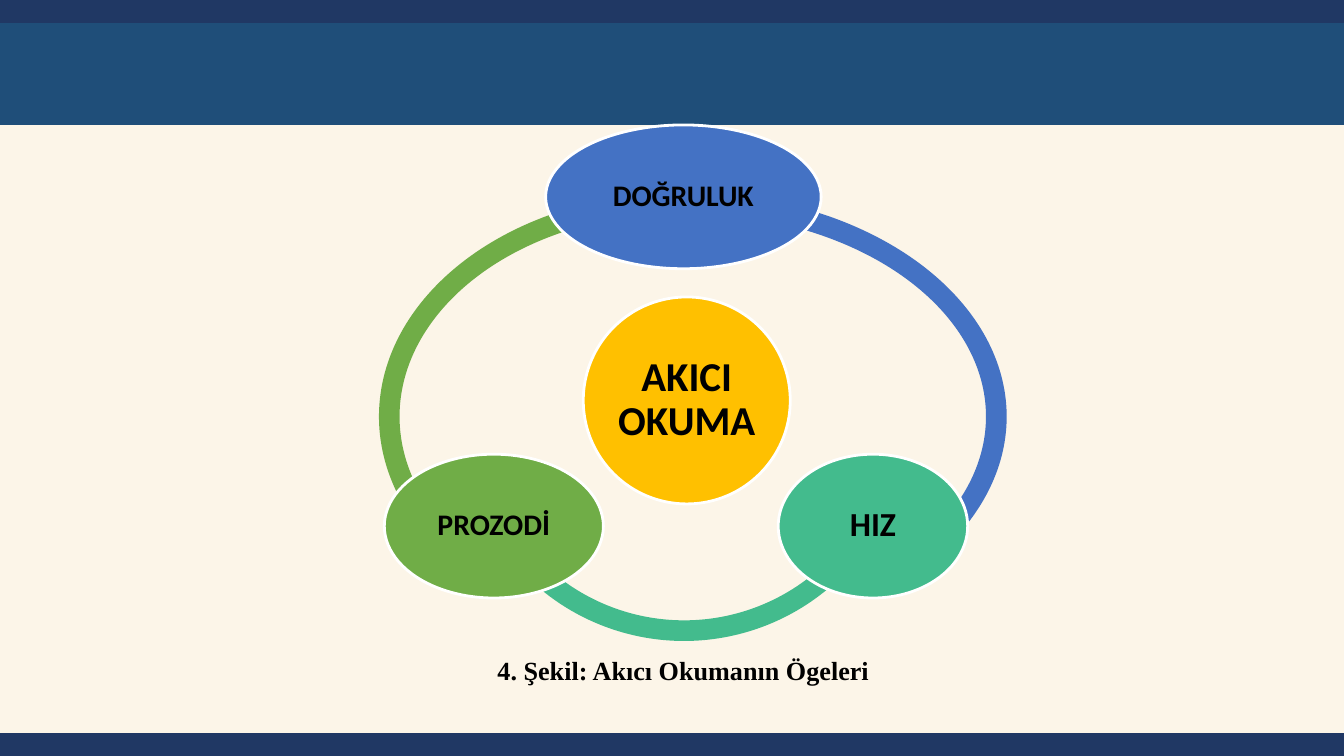
import pptx
import pptx.util
import pptx.dml.color
import pptx.enum.shapes
import pptx.enum.text

Inches = pptx.util.Inches
Pt = pptx.util.Pt
RGBColor = pptx.dml.color.RGBColor
MSO_SHAPE = pptx.enum.shapes.MSO_SHAPE

CREAM = RGBColor(0xFC, 0xF5, 0xE8)
NAVY = RGBColor(0x20, 0x38, 0x64)
STEEL = RGBColor(0x1F, 0x4E, 0x79)
BLUE = RGBColor(0x44, 0x72, 0xC4)
TEAL = RGBColor(0x43, 0xBB, 0x8D)
GREEN = RGBColor(0x70, 0xAD, 0x47)
GOLD = RGBColor(0xFF, 0xC0, 0x00)
WHITE = RGBColor(0xFF, 0xFF, 0xFF)
BLACK = RGBColor(0x00, 0x00, 0x00)

# Widescreen, 16:9
SLIDE_WIDTH = 10
SLIDE_HEIGHT = SLIDE_WIDTH * 9 / 16

# Bands: top, height, colour
BANDS = [(0.17, 0.76, STEEL), (0, 0.17, NAVY), (SLIDE_HEIGHT - 0.17, 0.17, NAVY)]

# Ring arcs: left, width, start and end angle in degrees, colour
RING_TOP, RING_HEIGHT, RING_THICKNESS = 1.43, 3.34, 0.046
ARCS = [
    (2.82, 4.53, 150, 270, GREEN),
    (3.42, 3.34, 30, 150, TEAL),
    (2.67, 4.82, 270, 30, BLUE),
]

# Ellipses: text, left, top, width, height, text size, colour
ELLIPSES = [
    ("AKICI OKUMA", 4.34, 2.21, 1.54, 1.54, 22, GOLD),
    ("DOĞRULUK", 4.06, 0.93, 2.05, 1.07, 16, BLUE),
    ("HIZ", 5.79, 3.38, 1.41, 1.07, 18, TEAL),
    ("PROZODİ", 2.86, 3.38, 1.63, 1.07, 16, GREEN),
]

CAPTION = "4. Şekil: Akıcı Okumanın Ögeleri"


def add_filled_shape(slide, kind, left, top, width, height, color):
    shape = slide.shapes.add_shape(
        kind, Inches(left), Inches(top), Inches(width), Inches(height))
    shape.shadow.inherit = False
    shape.fill.solid()
    shape.fill.fore_color.rgb = color
    shape.line.fill.background()
    return shape


def write_text(text_frame, text, font_name, size):
    text_frame.text = text
    paragraph = text_frame.paragraphs[0]
    paragraph.alignment = pptx.enum.text.PP_ALIGN.CENTER
    font = paragraph.runs[0].font
    font.name = font_name
    font.size = Pt(size)
    font.bold = True
    font.color.rgb = BLACK
    return paragraph


presentation = pptx.Presentation()
presentation.slide_width = Inches(SLIDE_WIDTH)
presentation.slide_height = Inches(SLIDE_HEIGHT)
slide = presentation.slides.add_slide(presentation.slide_layouts[6])
slide.background.fill.solid()
slide.background.fill.fore_color.rgb = CREAM

# Header and footer bands
for top, height, color in BANDS:
    add_filled_shape(slide, MSO_SHAPE.RECTANGLE, 0, top, SLIDE_WIDTH, height, color)

# Ring; an angle adjustment of 0.6 is one degree
for left, width, start, end, color in ARCS:
    arc = add_filled_shape(
        slide, MSO_SHAPE.BLOCK_ARC, left, RING_TOP, width, RING_HEIGHT, color)
    for index, value in enumerate((start * 0.6, end * 0.6, RING_THICKNESS)):
        arc.adjustments[index] = value

# Centre and the three elements around it
for text, left, top, width, height, size, color in ELLIPSES:
    ellipse = add_filled_shape(slide, MSO_SHAPE.OVAL, left, top, width, height, color)
    ellipse.line.color.rgb = WHITE
    ellipse.line.width = Pt(1.5)
    frame = ellipse.text_frame
    frame.word_wrap = True
    frame.vertical_anchor = pptx.enum.text.MSO_ANCHOR.MIDDLE
    frame.margin_left = frame.margin_right = Inches(0.03)
    frame.margin_top = frame.margin_bottom = Inches(0.03)
    write_text(frame, text, "Calibri", size).line_spacing = 0.9

# Caption
caption = slide.shapes.add_textbox(Inches(3.59), Inches(4.82), Inches(2.99), Inches(0.34))
caption.text_frame.word_wrap = False
caption.text_frame.auto_size = pptx.enum.text.MSO_AUTO_SIZE.SHAPE_TO_FIT_TEXT
write_text(caption.text_frame, CAPTION, "Times New Roman", 14)

presentation.save("out.pptx")
